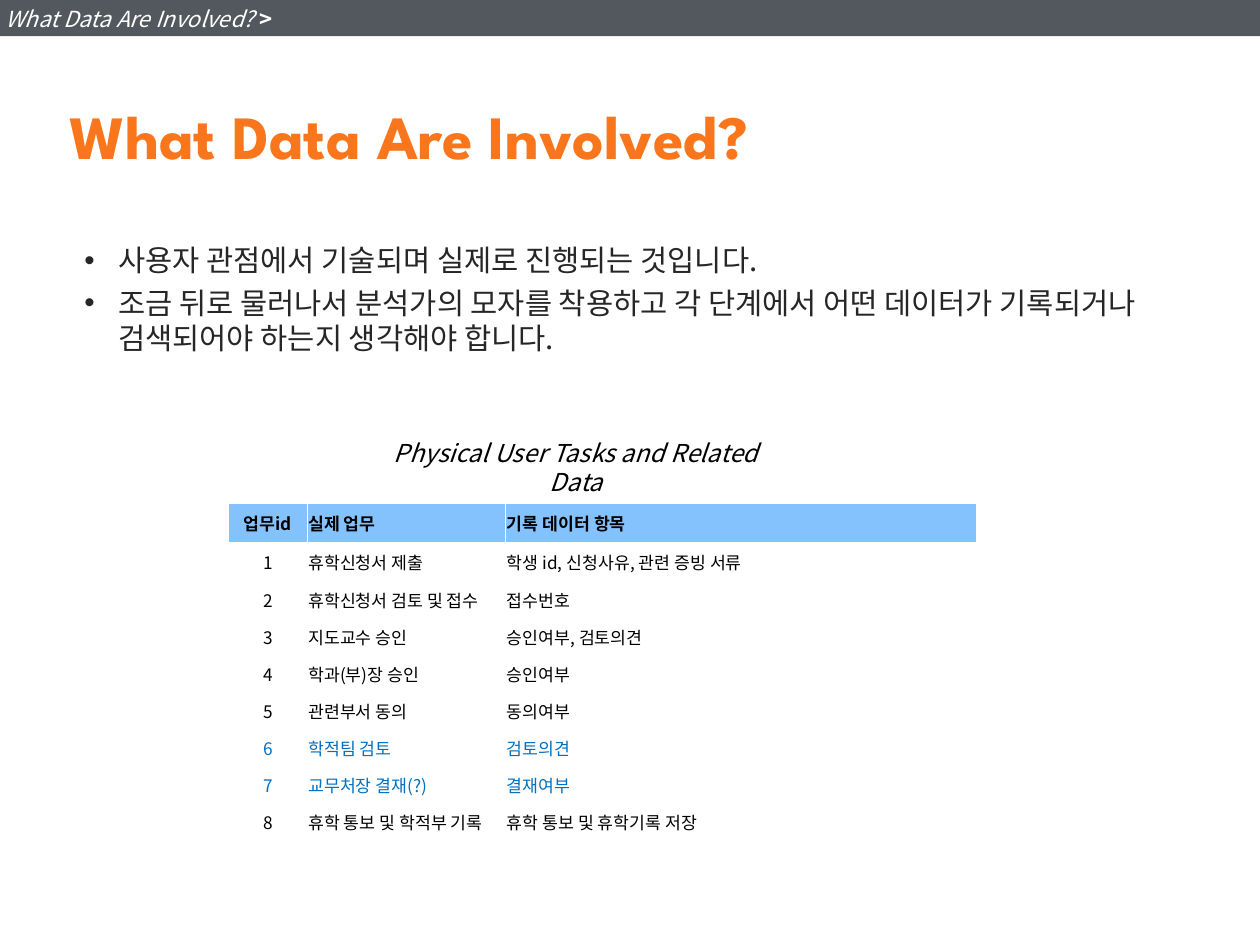
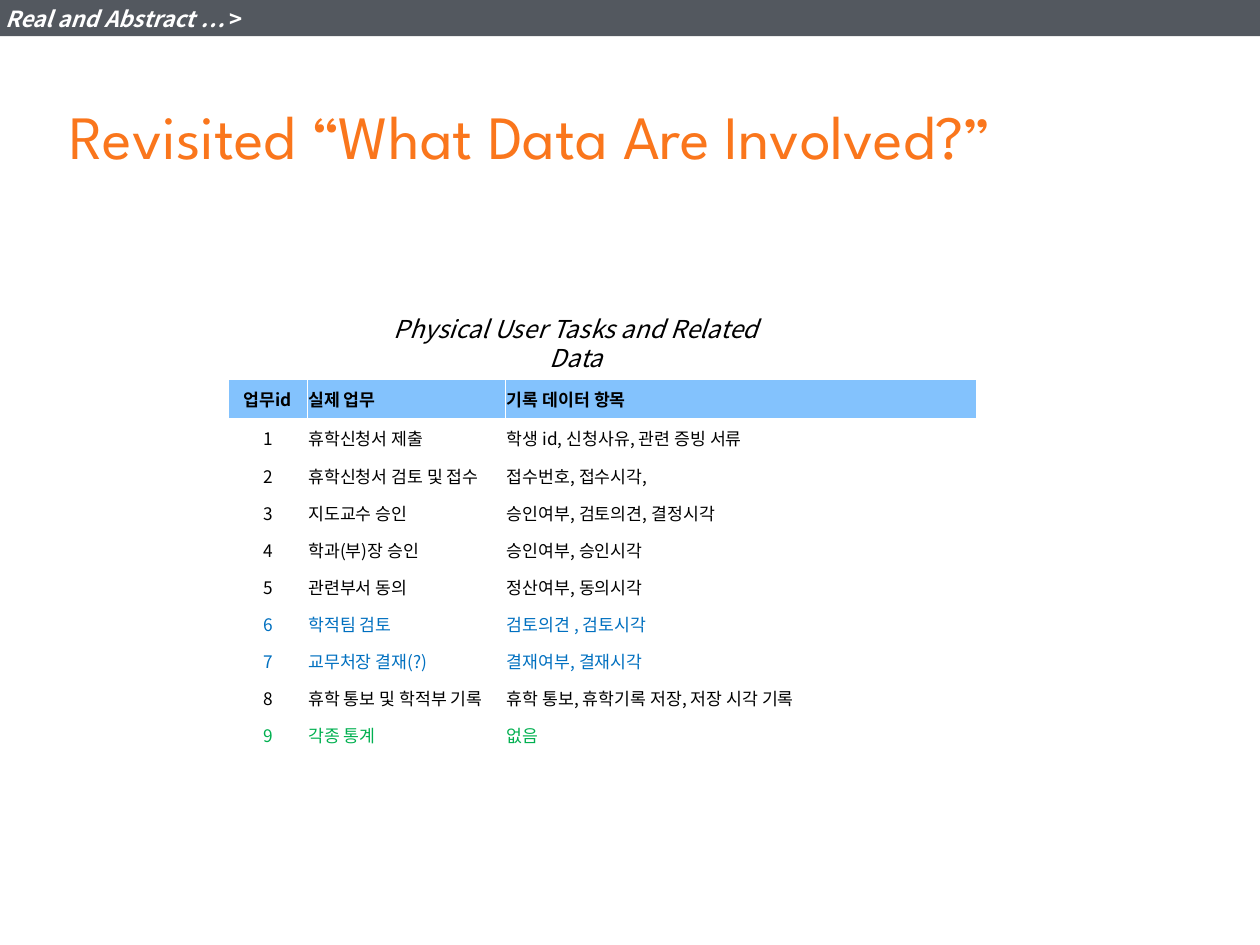
from dataclasses import dataclass

from lxml import etree
from pptx import Presentation
from pptx.dml.color import RGBColor
from pptx.enum.shapes import MSO_SHAPE
from pptx.enum.text import MSO_ANCHOR, PP_ALIGN
from pptx.oxml.ns import qn
from pptx.slide import Slide
from pptx.table import _Cell
from pptx.text.text import Font, TextFrame, _Paragraph
from pptx.util import Cm, Pt

RECTANGLE = MSO_SHAPE.RECTANGLE
TOP, MIDDLE = MSO_ANCHOR.TOP, MSO_ANCHOR.MIDDLE
LEFT, CENTER = PP_ALIGN.LEFT, PP_ALIGN.CENTER


@dataclass(frozen=True)
class Theme:
    band: str = "53585F"
    accent: str = "FA761C"
    body: str = "262626"
    black: str = "000000"
    white: str = "FFFFFF"
    header: str = "83C2FD"
    blue: str = "0070C0"
    green: str = "00B050"
    title_font: str = "League Spartan"
    text_font: str = "Noto Sans CJK KR"
    title_size: int = 50
    body_size: int = 24
    caption_size: int = 20
    breadcrumb_size: int = 18
    table_size: int = 14


@dataclass(frozen=True)
class Box:
    """Position, size and insets in centimetres."""
    left: float
    top: float
    width: float
    height: float
    insets: tuple[float, float, float, float] = (0.18, 0.18, 0.18, 0.18)


@dataclass(frozen=True)
class TaskSlide:
    title: str
    title_bold: bool
    breadcrumb: str
    breadcrumb_bold: bool
    breadcrumb_width: float
    caption_top: float
    data_items: tuple[str, ...]
    bullets: tuple[str, ...] = ()


THEME = Theme()
SLIDE_WIDTH, SLIDE_HEIGHT = 36.12, 27.1
TITLE_BOX = Box(1.8, 2.21, 32.51, 3.3)
BODY_BOX = Box(2.24, 6.43, 31.6, 4.29)
TABLE_LEFT, TABLE_OFFSET = 6.55, 2.01
COLUMN_WIDTHS = (2.26, 5.69, 13.49)
TALL_ROW, ROW = 1.12, 1.06
CAPTION = "Physical User Tasks and Related Data"
HEADINGS = ("업무id", "실제 업무", "기록 데이터 항목")
TASKS = (
    "휴학신청서 제출",
    "휴학신청서 검토 및 접수",
    "지도교수 승인",
    "학과(부)장 승인",
    "관련부서 동의",
    "학적팀 검토",
    "교무처장 결재(?)",
    "휴학 통보 및 학적부 기록",
    "각종 통계",
)
TASK_COLORS = {6: THEME.blue, 7: THEME.blue, 9: THEME.green}

SLIDES = (
    TaskSlide(
        "What Data Are Involved?", True, "What Data Are Involved?", False, 8.56, 12.42,
        (
            "학생 id, 신청사유, 관련 증빙 서류",
            "접수번호",
            "승인여부, 검토의견",
            "승인여부",
            "동의여부",
            "검토의견",
            "결재여부",
            "휴학 통보 및 휴학기록 저장",
        ),
        (
            "사용자 관점에서 기술되며 실제로 진행되는 것입니다.",
            "조금 뒤로 물러나서 분석가의 모자를 착용하고 각 단계에서 어떤 데이터가 "
            "기록되거나 검색되어야 하는지 생각해야 합니다.",
        ),
    ),
    TaskSlide(
        "Revisited “What Data Are Involved?”", False, "Real and Abstract …", True, 7.49, 8.86,
        (
            "학생 id, 신청사유, 관련 증빙 서류",
            "접수번호, 접수시각,",
            "승인여부, 검토의견, 결정시각",
            "승인여부, 승인시각",
            "정산여부, 동의시각",
            "검토의견 , 검토시각",
            "결재여부, 결재시각",
            "휴학 통보, 휴학기록 저장, 저장 시각 기록",
            "없음",
        ),
    ),
)


# Text helpers
def style_paragraph(paragraph: _Paragraph, size: int, color: str, bold: bool = False,
                    italic: bool = False, name: str = THEME.text_font) -> None:
    font: Font = paragraph.font
    font.size, font.bold, font.italic, font.name = Pt(size), bold, italic, name
    font.color.rgb = RGBColor.from_string(color)
    properties = paragraph._p.pPr.find(qn("a:defRPr"))
    etree.SubElement(properties, qn("a:ea"), typeface=name)


def add_text_box(slide: Slide, box: Box, anchor: MSO_ANCHOR = MIDDLE) -> TextFrame:
    shape = slide.shapes.add_textbox(Cm(box.left), Cm(box.top), Cm(box.width), Cm(box.height))
    frame = shape.text_frame
    frame.word_wrap = True
    frame.vertical_anchor = anchor
    (frame.margin_left, frame.margin_top,
     frame.margin_right, frame.margin_bottom) = map(Cm, box.insets)
    return frame


# Band with breadcrumb, and title
def add_header(slide: Slide, content: TaskSlide) -> None:
    band = slide.shapes.add_shape(RECTANGLE, 0, 0, Cm(SLIDE_WIDTH), Cm(1.04))
    band.shadow.inherit = False
    band.fill.solid()
    band.fill.fore_color.rgb = RGBColor.from_string(THEME.band)
    band.line.fill.background()

    title = add_text_box(slide, TITLE_BOX).paragraphs[0]
    title.text = content.title
    style_paragraph(title, THEME.title_size, THEME.accent, content.title_bold,
                    name=THEME.title_font)

    box = Box(0, 0, content.breadcrumb_width, 1.07, (0.15, 0.15, 0.15, 0.15))
    breadcrumb = add_text_box(slide, box).paragraphs[0]
    style_paragraph(breadcrumb, THEME.breadcrumb_size, THEME.white)
    for text, bold, italic in ((content.breadcrumb, content.breadcrumb_bold, True),
                               (" >", True, False)):
        run = breadcrumb.add_run()
        run.text = text
        run.font.bold, run.font.italic = bold, italic


# Bulleted body
def add_bullets(slide: Slide, bullets: tuple[str, ...]) -> None:
    frame = add_text_box(slide, BODY_BOX)
    for index, text in enumerate(bullets):
        paragraph = frame.add_paragraph() if index else frame.paragraphs[0]
        paragraph.text = text
        paragraph.space_before = Pt(6 if index else 0)
        properties = paragraph._p.get_or_add_pPr()
        properties.set("marL", str(Cm(0.97)))
        properties.set("indent", str(Cm(-0.97)))
        etree.SubElement(properties, qn("a:buFont"), typeface="Arial")
        etree.SubElement(properties, qn("a:buChar"), char="•")
        style_paragraph(paragraph, THEME.body_size, THEME.body)


# Table and its caption
def fill_cell(cell: _Cell, text: str, color: str, centered: bool, heading: bool) -> None:
    cell.margin_left = cell.margin_right = cell.margin_top = Cm(0.03)
    cell.margin_bottom = 0
    cell.vertical_anchor = MIDDLE
    properties = cell._tc.get_or_add_tcPr()
    for side in ("lnL", "lnR", "lnT", "lnB"):
        line = etree.SubElement(properties, qn(f"a:{side}"), w=str(Pt(1)))
        fill = etree.SubElement(line, qn("a:solidFill"))
        etree.SubElement(fill, qn("a:srgbClr"), val=THEME.white)
    if heading:
        cell.fill.solid()
        cell.fill.fore_color.rgb = RGBColor.from_string(THEME.header)
    else:
        cell.fill.background()
    paragraph = cell.text_frame.paragraphs[0]
    paragraph.text = text
    paragraph.alignment = CENTER if centered else LEFT
    style_paragraph(paragraph, THEME.table_size, color, bold=heading)


def add_task_table(slide: Slide, content: TaskSlide) -> None:
    caption_box = Box(11, content.caption_top, 12.55, 1.12, (0, 0.13, 1.52, 0.13))
    caption = add_text_box(slide, caption_box, TOP).paragraphs[0]
    caption.text = CAPTION
    caption.alignment = CENTER
    style_paragraph(caption, THEME.caption_size, THEME.black, italic=True)

    tasks = TASKS[:len(content.data_items)]
    rows = [HEADINGS]
    rows += [(str(number), task, data) for number, (task, data)
             in enumerate(zip(tasks, content.data_items), start=1)]
    heights = [TALL_ROW] * 2 + [ROW] * (len(rows) - 2)
    table = slide.shapes.add_table(
        len(rows), len(HEADINGS), Cm(TABLE_LEFT), Cm(content.caption_top + TABLE_OFFSET),
        Cm(sum(COLUMN_WIDTHS)), Cm(sum(heights))).table
    table.first_row = table.horz_banding = False
    for column, width in zip(table.columns, COLUMN_WIDTHS):
        column.width = Cm(width)
    for row_index, (values, height) in enumerate(zip(rows, heights)):
        table.rows[row_index].height = Cm(height)
        color = TASK_COLORS.get(row_index, THEME.black)
        for column_index, text in enumerate(values):
            fill_cell(table.cell(row_index, column_index), text, color,
                      centered=column_index == 0, heading=row_index == 0)


def main() -> None:
    presentation = Presentation()
    presentation.slide_width, presentation.slide_height = Cm(SLIDE_WIDTH), Cm(SLIDE_HEIGHT)
    blank_layout = presentation.slide_layouts[6]
    for content in SLIDES:
        slide = presentation.slides.add_slide(blank_layout)
        add_header(slide, content)
        if content.bullets:
            add_bullets(slide, content.bullets)
        add_task_table(slide, content)
    presentation.save("out.pptx")


if __name__ == "__main__":
    main()
